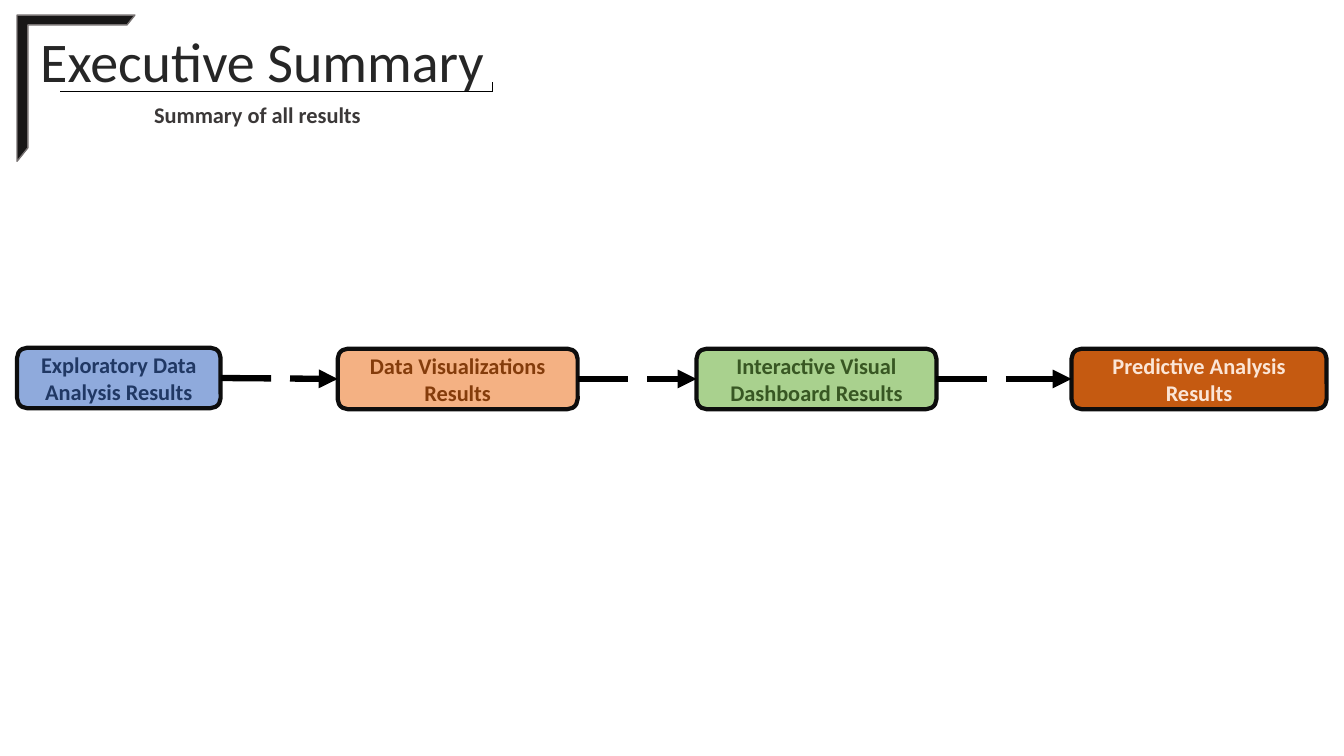
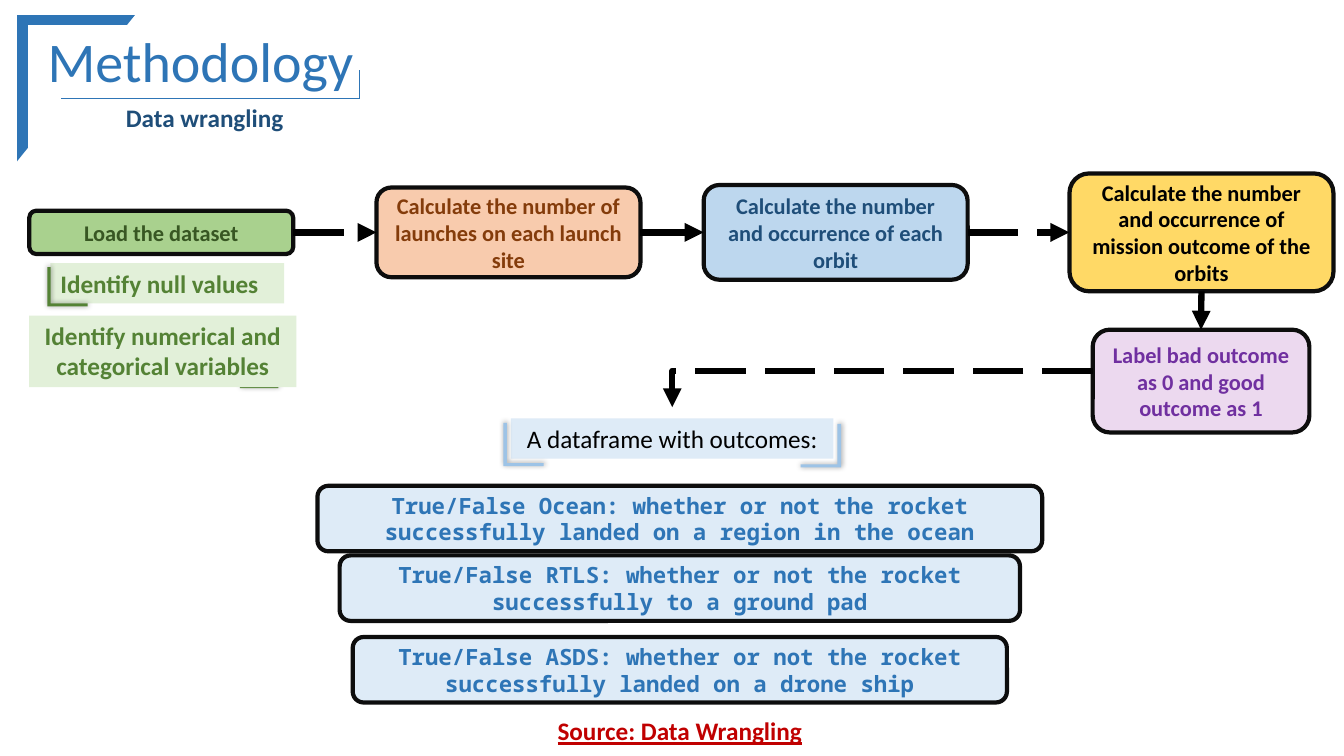
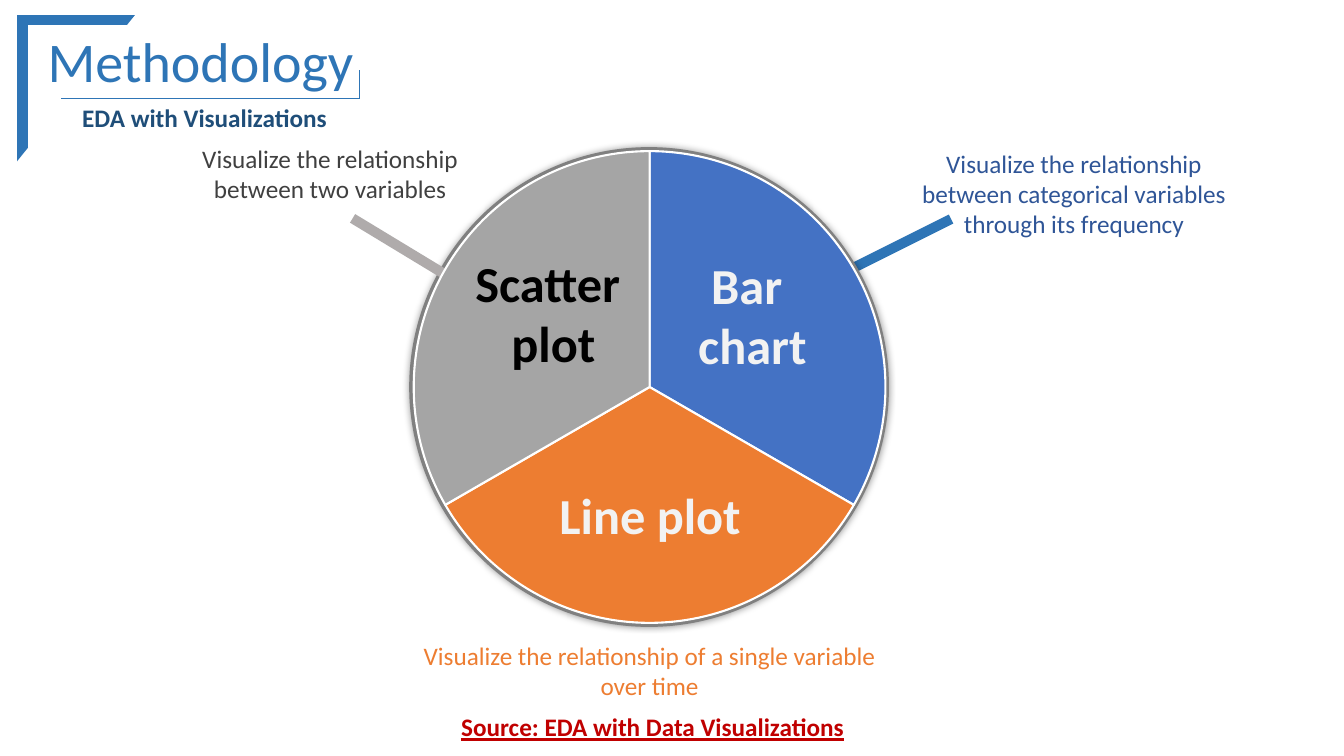
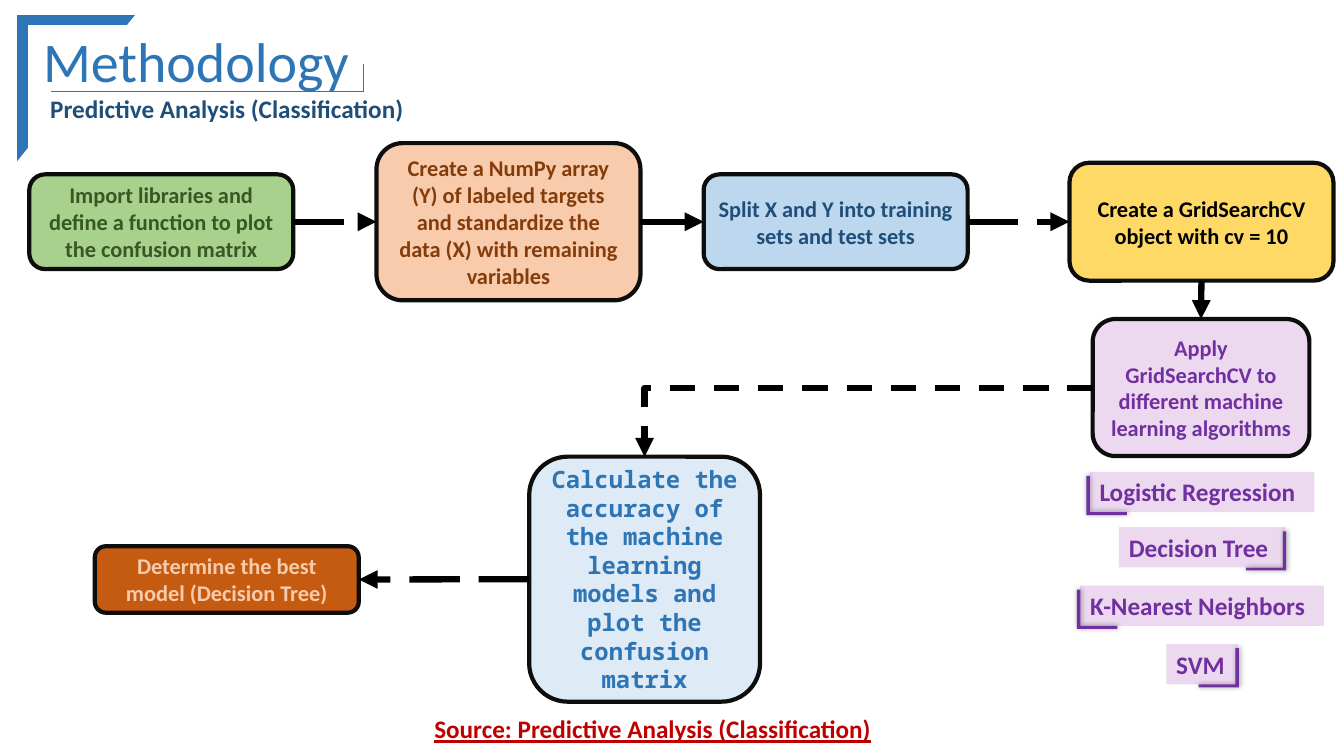
from collections import namedtuple

from lxml.etree import SubElement
from pptx import Presentation
from pptx.chart.data import CategoryChartData
from pptx.dml.color import RGBColor
from pptx.enum.chart import XL_CHART_TYPE as ChartType
from pptx.enum.dml import MSO_LINE as Dash
from pptx.enum.shapes import MSO_CONNECTOR as Connector
from pptx.enum.shapes import MSO_SHAPE as Shape
from pptx.enum.text import MSO_ANCHOR as Anchor
from pptx.enum.text import PP_ALIGN as Align
from pptx.oxml.ns import qn
from pptx.util import Pt

SANS, MONO = "Calibri", "Noto Sans Mono"
BLACK, BORDER, LINK = "000000", "0D0D0D", "C00000"
BLUE, SKY, PALE_BLUE = "2E75B6", "9DC3E6", "DEEBF7"
MOSS, PALE_GREEN = "548235", "E2F0D9"
PURPLE, LILAC = "7030A0", "ECD9EF"
TOP, LEFT, BOTTOM, RIGHT = range(4)

# Fill and text colour of the process boxes
GREEN_BOX = ("A9D18E", "385723")
PEACH_BOX = ("F8CBAD", "843C0B")
BLUE_BOX = ("BDD7EE", "1F4E79")
YELLOW_BOX = ("FFD966", BLACK)
LILAC_BOX = (LILAC, PURPLE)
RESULT_BOX = (PALE_BLUE, BLUE)
RUST = "C55A11"

COLUMN_LEFTS = (20.9, 268.9, 502.6, 763.9)
COLUMN_WIDTH = 188.6
LAST_STEP_LEFT, LAST_STEP_WIDTH, LAST_STEP_GAP = 780.5, 154.8, 27.4

HeaderStyle = namedtuple(
    "HeaderStyle", "frame frame_line title rule subtitle subtitle_size subtitle_align")
SUMMARY = HeaderStyle("181717", "767171", "262626", BLACK, "3B3838", 16, Align.LEFT)
METHOD = HeaderStyle(BLUE, None, BLUE, BLUE, "1F4E79", 18, Align.CENTER)

# Boxes are left, top, width, height; a rule is left, right, level, tick top
METHOD_PLACES = ((12.2, 15.1, 262, 55.4), (43.9, 257, 70.6, 49.7), (36, 69.8, 220.3, 28.8))


def rgb(color):
    return RGBColor.from_string(color)


def points(values):
    return [Pt(value) for value in values]


def write(frame, text, size, color, bold=True, align=Align.CENTER, font=SANS,
          underline=None, wrap=True):
    frame.word_wrap = wrap
    frame.text = text
    for paragraph in frame.paragraphs:
        paragraph.alignment = align
        for run in paragraph.runs:
            run.font.name = font
            run.font.size = Pt(size)
            run.font.bold = bold
            run.font.underline = underline
            run.font.color.rgb = rgb(color)


def add_text(slide, box, text, size, color, **style):
    write(slide.shapes.add_textbox(*points(box)).text_frame, text, size, color, **style)


def add_filled(slide, kind, box, fill, outline=None, width=1):
    shape = slide.shapes.add_shape(kind, *points(box))
    shape.shadow.inherit = False
    shape.fill.solid()
    shape.fill.fore_color.rgb = rgb(fill)
    if outline:
        shape.line.color.rgb = rgb(outline)
        shape.line.width = Pt(width)
    else:
        shape.line.fill.background()
    return shape


def add_shadow(shape, blur, distance, angle):
    effects = shape.element.spPr.find(qn("a:effectLst"))
    shadow = SubElement(effects, qn("a:outerShdw"), blurRad=str(Pt(blur)),
                        dist=str(Pt(distance)), dir=str(angle * 60000),
                        algn="ctr", rotWithShape="0")
    tint = SubElement(shadow, qn("a:srgbClr"), val=BLACK)
    SubElement(tint, qn("a:alpha"), val="40000")


def add_line(slide, start, end, color, width, kind=Connector.STRAIGHT):
    line = slide.shapes.add_connector(kind, *points(start + end))
    line.line.color.rgb = rgb(color)
    line.line.width = Pt(width)
    SubElement(line.element.spPr, qn("a:effectLst"))
    return line


def make_arrow(line, dash):
    line.line.dash_style = dash
    SubElement(line.element.spPr.find(qn("a:ln")), qn("a:tailEnd"), type="triangle")


def join(slide, source, target, source_side=RIGHT, target_side=LEFT):
    arrow = add_line(slide, (0, 0), (1, 1), BLACK, 4.5)
    arrow.begin_connect(source, source_side)
    arrow.end_connect(target, target_side)
    make_arrow(arrow, Dash.LONG_DASH)


def add_turning_arrow(slide, start, end, dash):
    """Arrow that runs left from start, then down to end."""
    arrow = add_line(slide, start, end, BLACK, 4.5, Connector.ELBOW)
    make_arrow(arrow, dash)
    properties = arrow.element.spPr
    properties.find(qn("a:prstGeom")).set("prst", "bentConnector2")
    frame = properties.find(qn("a:xfrm"))
    frame.attrib.pop("flipH", None)
    frame.set("rot", "10800000")
    frame.set("flipV", "1")


def add_step(slide, box, text, colors, size=16, font=SANS):
    fill, color = colors
    step = add_filled(slide, Shape.ROUNDED_RECTANGLE, box, fill, BORDER, 3)
    step.text_frame.vertical_anchor = Anchor.MIDDLE
    write(step.text_frame, text, size, color, font=font)
    return step


def add_note(slide, box, text, fill, color, **style):
    note = add_filled(slide, Shape.RECTANGLE, box, fill)
    note.text_frame.vertical_anchor = Anchor.TOP
    write(note.text_frame, text, 18, color, **style)


def add_corner(slide, box, color, flipped=False):
    corner = add_filled(slide, Shape.CORNER, box, color)
    corner.adjustments[0], corner.adjustments[1] = 0.074, 0.089
    add_shadow(corner, 4, 0.8, 315)
    if flipped:
        corner.element.spPr.find(qn("a:xfrm")).set("flipH", "1")


def add_tag(slide, left, top, width, text, fill, color, flipped=False):
    """Note with a corner mark at its lower left, or lower right if flipped."""
    add_note(slide, (left, top, width, 28.8), text, fill, color, align=Align.LEFT)
    corner_left = left + width - 28 if flipped else left - 2.2
    add_corner(slide, (corner_left, top + 2.9, 28.8, 28), color, flipped)


def add_header(slide, style, title, subtitle, places=METHOD_PLACES):
    title_box, (left, right, level, tick_top), subtitle_box = places
    frame = add_filled(slide, Shape.HALF_FRAME, (12.2, 10.8, 84.2, 104.4),
                       style.frame, style.frame_line)
    frame.adjustments[0], frame.adjustments[1] = 0.083, 0.092
    add_text(slide, title_box, title, 40, style.title, bold=False)
    add_line(slide, (left, level), (right, level), style.rule, 0.5)
    add_line(slide, (right, level), (right, tick_top), style.rule, 0.5)
    add_text(slide, subtitle_box, subtitle, style.subtitle_size, style.subtitle,
             align=style.subtitle_align)


def add_source_line(slide, text, center, top):
    add_text(slide, (center - 168, top, 336, 28.8), text, 18, LINK, underline=True)


def add_process(slide, middle, steps):
    """Four joined steps in a row and a fifth below the last one."""
    colors = (GREEN_BOX, PEACH_BOX, BLUE_BOX, YELLOW_BOX)
    row = [add_step(slide, (left, middle - height / 2, COLUMN_WIDTH, height), text, pair)
           for left, (text, height), pair in zip(COLUMN_LEFTS, steps, colors)]
    for source, target in zip(row, row[1:]):
        join(slide, source, target)
    text, height = steps[-1]
    top = middle + steps[-2][1] / 2 + LAST_STEP_GAP
    last = add_step(slide, (LAST_STEP_LEFT, top, LAST_STEP_WIDTH, height), text, LILAC_BOX)
    join(slide, row[-1], last, BOTTOM, TOP)


def add_pie(slide, box, colors):
    data = CategoryChartData()
    data.categories = ["1", "2", "3"]
    data.add_series("Series 1", (33, 33, 33))
    chart = slide.shapes.add_chart(ChartType.PIE, *points(box), data).chart
    chart.has_legend = False
    chart.has_title = False
    chart.font.name = SANS
    chart.font.size = Pt(10)
    chart.font.color.rgb = rgb(BLACK)
    chart.plots[0].vary_by_categories = True
    for index, color in enumerate(colors):
        slice_format = chart.plots[0].series[0].points[index].format
        slice_format.fill.solid()
        slice_format.fill.fore_color.rgb = rgb(color)
        slice_format.line.color.rgb = rgb("FFFFFF")
        slice_format.line.width = Pt(1.5)

    space = chart.element.find(qn("c:chart"))
    background = SubElement(chart.element, qn("c:spPr"))
    SubElement(background, qn("a:noFill"))
    SubElement(SubElement(background, qn("a:ln")), qn("a:noFill"))
    space.addnext(background)

    plot_area = space.find(qn("c:plotArea"))
    for old in plot_area.findall(qn("c:layout")):
        plot_area.remove(old)
    layout = SubElement(plot_area, qn("c:layout"))
    plot_area.insert(0, layout)
    manual = SubElement(layout, qn("c:manualLayout"))
    diameter = 337
    width, height = diameter / box[2], diameter / box[3]
    for tag, value in (("layoutTarget", "inner"), ("xMode", "edge"), ("yMode", "edge"),
                       ("x", (1 - width) / 2), ("y", (1 - height) / 2),
                       ("w", width), ("h", height)):
        SubElement(manual, qn("c:" + tag), val=str(value))


def build_summary(slide):
    add_header(slide, SUMMARY, "Executive Summary", "Summary of all results",
               ((12.2, 15.1, 350, 55.4), (43.2, 351.4, 65.5, 58.3), (103, 68.4, 181.4, 26.6)))
    results = (
        (12.2, 248.4, 145.4, "Exploratory Data Analysis Results", ("8FAADC", "203864")),
        (241.2, 249.1, 171.4, "Data Visualizations Results", ("F4B183", "843C0B")),
        (497.5, 249.1, 171.4, "Interactive Visual Dashboard Results", GREEN_BOX),
        (765.4, 249.1, 182.2, "Predictive Analysis Results", (RUST, "FBE5D6")),
    )
    boxes = [add_step(slide, (left, top, width, 43.2), text, colors)
             for left, top, width, text, colors in results]
    for source, target in zip(boxes, boxes[1:]):
        join(slide, source, target)


def build_wrangling(slide):
    add_header(slide, METHOD, "Methodology", "Data wrangling")
    add_process(slide, 166, (
        ("Load the dataset", 31),
        ("Calculate the number of launches on each launch site", 64.1),
        ("Calculate the number and occurrence of each orbit", 67.7),
        ("Calculate the number and occurrence of mission outcome of the orbits", 84.2),
        ("Label bad outcome as 0 and good outcome as 1", 73.4),
    ))
    add_tag(slide, 36, 187.9, 167, "Identify null values", PALE_GREEN, MOSS)
    add_corner(slide, (171.4, 229, 27.4, 48.2), MOSS, flipped=True)
    add_note(slide, (20.9, 225.4, 190.8, 51.1),
             "Identify numerical and categorical variables", PALE_GREEN, MOSS)
    add_turning_arrow(slide, (780.5, 265), (480.2, 290.9), Dash.LONG_DASH)

    add_note(slide, (365, 298.8, 230.4, 28.8), "A dataframe with outcomes:",
             PALE_BLUE, BLACK, bold=False)
    add_corner(slide, (359.6, 302, 28.8, 31), SKY)
    add_corner(slide, (572, 302.8, 28.8, 31), SKY, flipped=True)
    center = 485.6
    outcomes = (
        (347, 517.7, "True/False Ocean: whether or not the rocket successfully landed "
                     "on a region in the ocean"),
        (396.7, 486, "True/False RTLS: whether or not the rocket successfully to a ground pad"),
        (455, 467.3, "True/False ASDS: whether or not the rocket successfully landed "
                     "on a drone ship"),
    )
    for top, width, text in outcomes:
        add_step(slide, (center - width / 2, top, width, 46.8), text, RESULT_BOX, font=MONO)
    add_source_line(slide, "Source: Data Wrangling", center, 507.6)


def build_visualizations(slide):
    add_header(slide, METHOD, "Methodology", "EDA with Visualizations")
    add_source_line(slide, "Source: EDA with Data Visualizations", 466.2, 504.7)
    bar_pointer = add_filled(slide, Shape.RECTANGLE, (455, 205.9, 236.9, 7.2), BLUE)
    bar_pointer.rotation = 333.4
    halo = add_filled(slide, Shape.OVAL, (292.3, 105.1, 342.7, 342.7), "808080")
    add_shadow(halo, 5, 0, 0)
    scatter_pointer = add_filled(slide, Shape.RECTANGLE, (234.7, 213.8, 236.9, 7.2), "AFABAB")
    scatter_pointer.rotation = 31.2
    add_pie(slide, (159.1, 97.9, 609.8, 357.1), ("4472C4", "ED7D31", "A5A5A5"))

    for box, text, color in (
        ((331.2, 176.4, 128.2, 94.3), "Scatter \nplot", BLACK),
        ((491, 177.8, 92.9, 94.3), "Bar \nchart", "F2F2F2"),
        ((391.7, 342, 145.4, 51.1), "Line plot", "F2F2F2"),
    ):
        add_text(slide, box, text, 36, color, wrap=False)
    for box, text, color in (
        ((120.2, 98.6, 231.1, 51.1),
         "Visualize the relationship between two variables", "404040"),
        ((651.6, 102.2, 231.1, 94.3),
         "Visualize the relationship between categorical variables through its frequency",
         "2F5597"),
        ((277.9, 453.6, 372.2, 51.1),
         "Visualize the relationship of a single variable over time", "ED7D31"),
    ):
        add_text(slide, box, text, 18, color, bold=False)


def build_prediction(slide):
    add_header(slide, METHOD, "Methodology", "Predictive Analysis (Classification)",
               ((0, 15.1, 280, 55.4), (36.7, 259.9, 65.5, 45.4), (27.4, 63.4, 269.3, 28.8)))
    add_process(slide, 158.4, (
        ("Import libraries and define a function to plot the confusion matrix", 67.7),
        ("Create a NumPy array (Y) of labeled targets and standardize the data (X) "
         "with remaining variables", 112.3),
        ("Split X and Y into training sets and test sets", 67.7),
        ("Create a GridSearchCV object with cv = 10", 84.2),
        ("Apply GridSearchCV to different machine learning algorithms", 97.9),
    ))
    center = 858.6
    for top, width, text, flipped in (
        (337, 160.6, "Logistic Regression", False),
        (376.6, 118.8, "Decision Tree", True),
        (418.3, 174.2, "K-Nearest Neighbors", False),
        (460.1, 51.1, "SVM", True),
    ):
        add_tag(slide, center - width / 2, top, width, text, LILAC, PURPLE, flipped)
    accuracy = add_step(slide, (378, 326.2, 164.9, 175),
                        "Calculate the accuracy of the machine learning models and plot "
                        "the confusion matrix", RESULT_BOX, 17, MONO)
    best = add_step(slide, (67.7, 390.2, COLUMN_WIDTH, 47.5),
                    "Determine the best model (Decision Tree)", (RUST, "F8CBAD"))
    join(slide, accuracy, best, LEFT, RIGHT)
    add_turning_arrow(slide, (780.5, 277.2), (460.4, 326.2), Dash.DASH)
    add_source_line(slide, "Source: Predictive Analysis (Classification)", 466.2, 506.2)


def main():
    deck = Presentation()
    deck.slide_width, deck.slide_height = Pt(960), Pt(540)
    blank = deck.slide_layouts[6]
    for build in (build_summary, build_wrangling, build_visualizations, build_prediction):
        build(deck.slides.add_slide(blank))
    deck.save("out.pptx")


if __name__ == "__main__":
    main()
